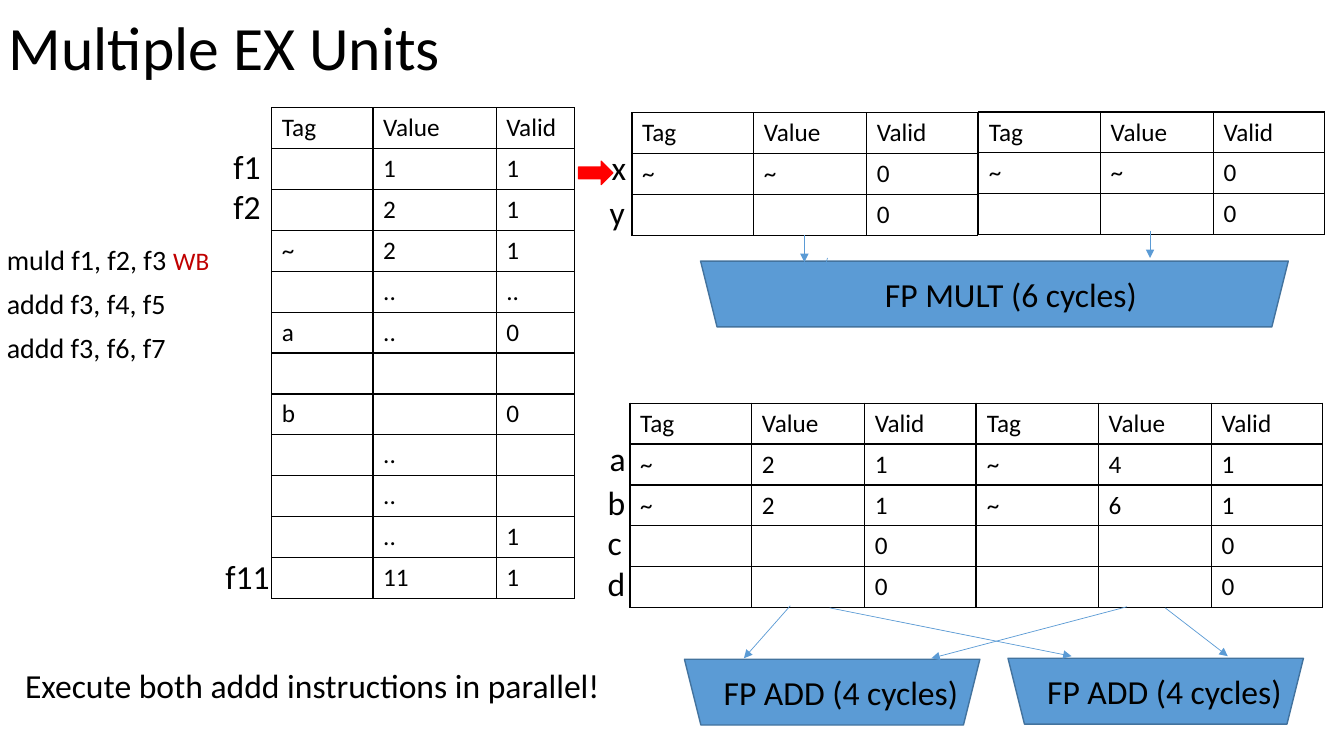
from lxml import etree
from pptx import Presentation
from pptx.dml.color import RGBColor
from pptx.enum.shapes import MSO_CONNECTOR, MSO_SHAPE
from pptx.enum.text import MSO_ANCHOR
from pptx.oxml.ns import qn
from pptx.util import Pt

BLACK = RGBColor(0x00, 0x00, 0x00)
BLUE = RGBColor(0x5B, 0x9B, 0xD5)
DARK_BLUE = RGBColor(0x43, 0x73, 0x9E)
RED = RGBColor(0xFF, 0x00, 0x00)
DARK_RED = RGBColor(0xC0, 0x00, 0x00)
STRAIGHT = MSO_CONNECTOR.STRAIGHT
TRAPEZOID, RIGHT_ARROW = MSO_SHAPE.TRAPEZOID, MSO_SHAPE.RIGHT_ARROW
TOP, MIDDLE = MSO_ANCHOR.TOP, MSO_ANCHOR.MIDDLE

FONT = "Calibri"
ROW_H = 29.2
HEADER = ("Tag", "Value", "Valid")
STATION_COLS = (87.1, 80.6, 79.2)
REGISTER_COLS = (72.3, 88, 55.7)

REGISTERS = [
    ("", "1", "1"), ("", "2", "1"), ("~", "2", "1"), ("", "..", ".."),
    ("a", "..", "0"), ("", "", ""), ("b", "", "0"), ("", "..", ""),
    ("", "..", ""), ("", "..", "1"), ("", "11", "1"),
]
EMPTY = ("", "", "0")
MULT_ROWS = [("~", "~", "0"), EMPTY]
ADD_LEFT = [("~", "2", "1"), ("~", "2", "1"), EMPTY, EMPTY]
ADD_RIGHT = [("~", "4", "1"), ("~", "6", "1"), EMPTY, EMPTY]

# Row labels: text, offset from the table's top left corner
REGISTER_LABELS = [("f1", -34.6, 23.8), ("f2", -34.6, 52.6), ("f11", -40.3, 316.8)]
MULT_LABELS = [("x", -21.6, 21), ("y", -23, 52.6)]
ADD_LABELS = [("a", -21.6, 21.6), ("b", -23, 52.6), ("c", -23, 81.4), ("d", -23, 110.2)]

MULT_ARROWS = [(821.5, 164.9, 821.5, 184.3), (591.1, 184.3, 586.8, 198.7),
               (574.6, 167.8, 574.6, 187.2)]
ADD_ARROWS = [(805, 433.4, 665.3, 470.2), (592.6, 434.2, 765.4, 468.7),
              (832.3, 434.2, 877, 468.7), (564.5, 432.7, 531.4, 470.2)]


def set_format(target, **values):
    for name, value in values.items():
        setattr(target, name, value)


def add_run(p, text, size, color=BLACK):
    r = p.add_run()
    r.text = text
    set_format(r.font, name=FONT, size=Pt(size))
    r.font.color.rgb = color


def add_text(slide, box, lines, size, color=BLACK, anchor=TOP, **paragraph_format):
    tf = slide.shapes.add_textbox(*map(Pt, box)).text_frame
    set_format(tf, word_wrap=True, vertical_anchor=anchor)
    for i, line in enumerate(lines):
        p = tf.add_paragraph() if i else tf.paragraphs[0]
        set_format(p, **paragraph_format)
        add_run(p, line, size, color)


def border_cell(cell):
    tc_pr = cell._tc.get_or_add_tcPr()
    for i, side in enumerate(("a:lnL", "a:lnR", "a:lnT", "a:lnB")):
        ln = etree.Element(qn(side), w=str(Pt(1)))
        fill = etree.SubElement(ln, qn("a:solidFill"))
        etree.SubElement(fill, qn("a:srgbClr"), val=str(BLACK))
        tc_pr.insert(i, ln)


def add_value_table(slide, left, top, cols, rows):
    """Place a bordered Tag / Value / Valid table."""
    rows = [HEADER, *rows]
    table = slide.shapes.add_table(len(rows), len(cols), Pt(left), Pt(top),
                                   Pt(sum(cols)), Pt(ROW_H * len(rows))).table
    set_format(table, first_row=False, horz_banding=False)
    for column, width in zip(table.columns, cols):
        column.width = Pt(width)
    for i, values in enumerate(rows):
        table.rows[i].height = Pt(ROW_H)
        for j, value in enumerate(values):
            cell = table.cell(i, j)
            cell.fill.background()
            border_cell(cell)
            if value:
                add_run(cell.text_frame.paragraphs[0], value, 18)


def add_row_labels(slide, left, top, labels):
    for text, dx, dy in labels:
        add_text(slide, (left + dx, top + dy, 60, 36), [text], 24)


def add_shape(slide, kind, box, fill, line, rotation=0):
    sp = slide.shapes.add_shape(kind, *map(Pt, box))
    sp.rotation = rotation
    sp.shadow.inherit = False
    sp.fill.solid()
    sp.fill.fore_color.rgb = fill
    sp.line.color.rgb = line
    sp.line.width = Pt(1)


def add_unit(slide, left, top, width, label, label_dx):
    """Place a functional unit: an inverted trapezoid with its label."""
    add_shape(slide, TRAPEZOID, (left, top, width, 47), BLUE, DARK_BLUE, 180)
    add_text(slide, (left + label_dx, top + 5.4, 205, 36), [label], 24)


def add_arrows(slide, arrows):
    for ends in arrows:
        line = slide.shapes.add_connector(STRAIGHT, *map(Pt, ends))
        line.line.color.rgb = BLUE
        line.line.width = Pt(0.5)
        etree.SubElement(line.line._get_or_add_ln(), qn("a:tailEnd"), type="triangle")
        etree.SubElement(line._element.spPr, qn("a:effectLst"))


def add_program(slide, left, top):
    add_text(slide, (left, top, 200, 120),
             ["muld f1, f2, f3", "addd f3, f4, f5", "addd f3, f6, f7"], 20,
             line_spacing=0.9, space_before=Pt(10))
    add_text(slide, (left + 118.8, top - 0.7, 60, 29), ["WB"], 18, DARK_RED)


def add_register_file(slide, left, top):
    add_value_table(slide, left, top, REGISTER_COLS, REGISTERS)
    add_row_labels(slide, left, top, REGISTER_LABELS)


def add_multiplier(slide, left, top):
    add_value_table(slide, left, top, STATION_COLS, MULT_ROWS)
    add_value_table(slide, left + 247.7, top - 0.6, STATION_COLS, MULT_ROWS)
    add_row_labels(slide, left, top, MULT_LABELS)
    add_shape(slide, RIGHT_ARROW, (left - 38.1, top + 34.6, 24.5, 16.6), RED, RED)
    add_unit(slide, left + 49, top + 105.9, 419.8, "FP MULT (6 cycles)", 124.6)
    add_arrows(slide, MULT_ARROWS)


def add_adders(slide, left, top):
    add_value_table(slide, left, top, STATION_COLS, ADD_LEFT)
    add_value_table(slide, left + 247.7, top, STATION_COLS, ADD_RIGHT)
    add_row_labels(slide, left, top, ADD_LABELS)
    for dx, dy in ((38.9, 182.9), (270, 182.2)):
        add_unit(slide, left + dx, top + dy, 211, "FP ADD (4 cycles)", 20.9)
    add_arrows(slide, ADD_ARROWS)


def main():
    prs = Presentation()
    set_format(prs, slide_width=Pt(960), slide_height=Pt(540))
    slide = prs.slides.add_slide(prs.slide_layouts[6])
    add_text(slide, (-0.7, -15.8, 828, 104.4), ["Multiple EX Units"], 44,
             anchor=MIDDLE, line_spacing=0.9)
    add_program(slide, -2.2, 172.1)
    add_register_file(slide, 194.2, 77)
    add_multiplier(slide, 451.4, 80.6)
    add_adders(slide, 450, 288)
    add_text(slide, (10.8, 471.6, 480, 36),
             ["Execute both addd instructions in parallel!"], 24)
    prs.save("out.pptx")


if __name__ == "__main__":
    main()
